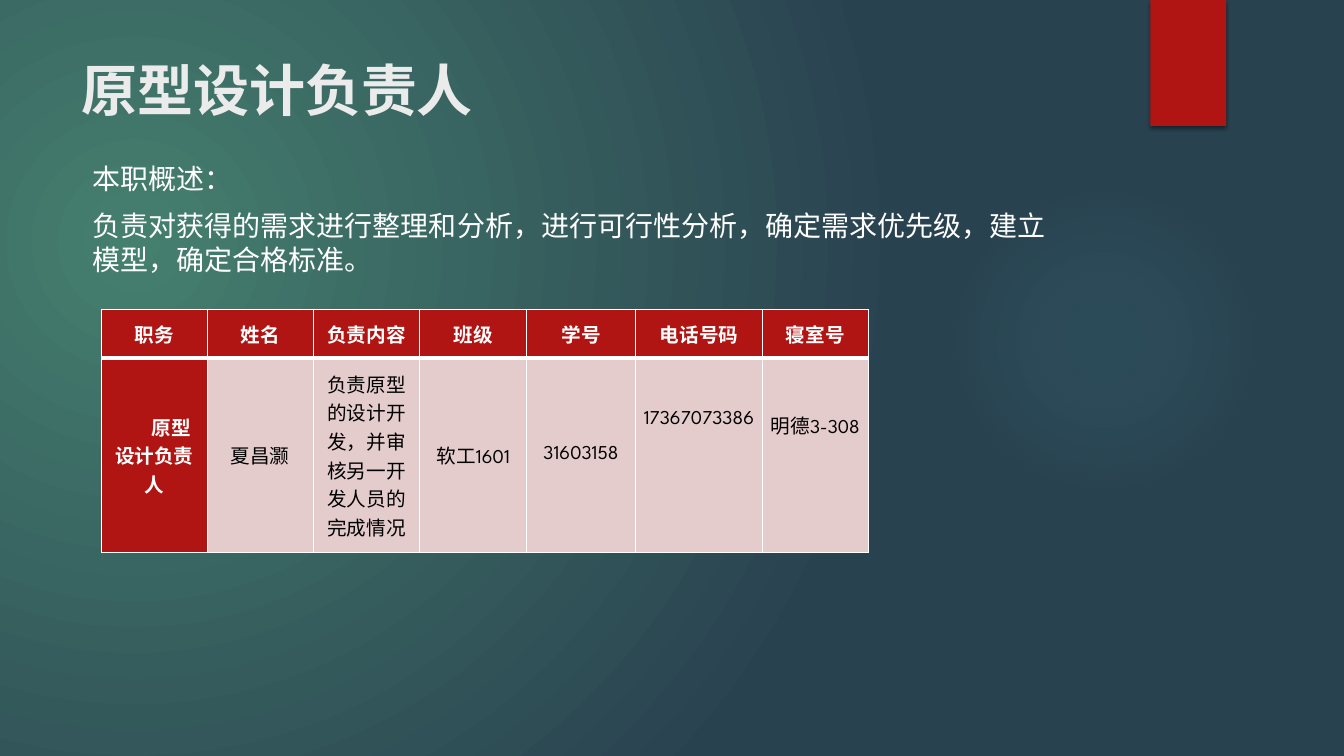
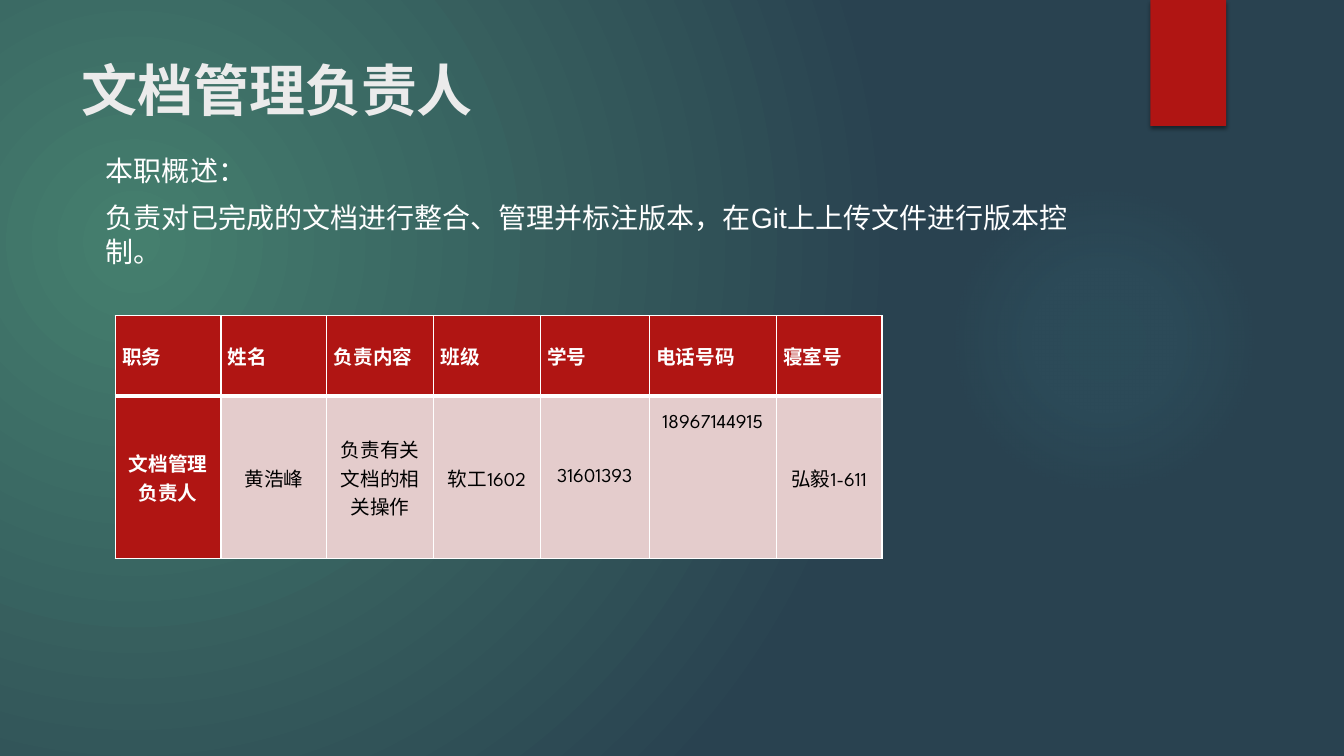
from lxml.etree import SubElement
from pptx import Presentation
from pptx.dml.color import RGBColor
from pptx.enum.shapes import MSO_SHAPE
from pptx.enum.text import MSO_ANCHOR, PP_ALIGN
from pptx.oxml import parse_xml
from pptx.oxml.ns import nsdecls, qn
from pptx.util import Pt

GREEN = RGBColor(0x45, 0x7F, 0x6E)
NAVY = RGBColor(0x29, 0x42, 0x50)
TEAL = RGBColor(0x50, 0xB9, 0xC1)
RED = RGBColor(0xB0, 0x15, 0x13)
PINK = RGBColor(0xE4, 0xCC, 0xCC)
OFF_WHITE = RGBColor(0xEB, 0xEB, 0xEB)
WHITE = RGBColor(0xFF, 0xFF, 0xFF)
BLACK = RGBColor(0, 0, 0)

COLUMN_WIDTHS = [75.6, 75.6, 76.3, 76.3, 77.8, 90.7, 75.6]
HEADINGS = ["职务", "姓名", "负责内容", "班级", "学号", "电话号码", "寝室号"]


def apply_format(target, values):
    for name, value in values.items():
        setattr(target, name, value)


def radial_fill(parent, stops, focus):
    """Replace a solid fill by a circular gradient; stops are (position, colour, alpha)."""
    stop_xml = "".join(
        f'<a:gs pos="{position * 1000}"><a:srgbClr val="{color}">'
        f'<a:alpha val="{alpha * 1000}"/></a:srgbClr></a:gs>'
        for position, color, alpha in stops)
    left, top, right, bottom = (value * 1000 for value in focus)
    gradient = parse_xml(
        f'<a:gradFill {nsdecls("a")} rotWithShape="1"><a:gsLst>{stop_xml}</a:gsLst>'
        f'<a:path path="circle"><a:fillToRect l="{left}" t="{top}" r="{right}" b="{bottom}"/>'
        f'</a:path></a:gradFill>')
    parent.replace(parent.find(qn("a:solidFill")), gradient)


class Deck:
    title_font = {"name": "Arial", "size": Pt(40), "bold": True}
    body_font = {"name": "Arial", "size": Pt(20), "bold": False}
    cell_font = {"name": "League Spartan", "size": Pt(14)}
    cell_margins = {"margin_left": Pt(5), "margin_right": Pt(5),
                    "margin_top": 0, "margin_bottom": 0}

    def __init__(self):
        self.presentation = Presentation()
        apply_format(self.presentation, {"slide_width": Pt(960), "slide_height": Pt(540)})
        self.slide = None

    def add_slide(self):
        self.slide = self.presentation.slides.add_slide(self.presentation.slide_layouts[6])
        # Background
        self.slide.background.fill.solid()
        radial_fill(self.slide.element.find(".//" + qn("p:bgPr")),
                    [(0, GREEN, 100), (100, NAVY, 100)], (45, 65, 125, 100))
        # Glow
        glow = self.add_shape(MSO_SHAPE.OVAL, 677.5, 131.8, 221.8, 221.8, TEAL)
        radial_fill(glow.element.spPr, [(0, TEAL, 7), (36, TEAL, 6), (69, TEAL, 0)],
                    (50, 50, 50, 50))
        # Ribbon with a soft shadow
        ribbon = self.add_shape(MSO_SHAPE.RECTANGLE, 821.8, 0, 54, 90, RED)
        ribbon.element.spPr.find(qn("a:effectLst")).append(parse_xml(
            f'<a:outerShdw {nsdecls("a")} blurRad="{Pt(3)}" dist="{Pt(2)}" dir="5400000" '
            f'rotWithShape="0"><a:srgbClr val="{BLACK}"><a:alpha val="45000"/></a:srgbClr>'
            f'</a:outerShdw>'))

    def add_shape(self, kind, left, top, width, height, color):
        shape = self.slide.shapes.add_shape(kind, Pt(left), Pt(top), Pt(width), Pt(height))
        shape.shadow.inherit = False
        shape.fill.solid()
        shape.fill.fore_color.rgb = color
        shape.line.fill.background()
        return shape

    def add_text(self, paragraphs, left, top, width, height, font, color):
        box = self.slide.shapes.add_textbox(Pt(left), Pt(top), Pt(width), Pt(height))
        frame = box.text_frame
        frame.word_wrap = True
        frame.text = "\n".join(paragraphs)
        for paragraph in frame.paragraphs:
            apply_format(paragraph, {"line_spacing": Pt(font["size"].pt * 1.2),
                                     "space_after": Pt(10)})
            run = paragraph.runs[0]
            apply_format(run.font, font)
            run.font.color.rgb = color
            SubElement(run.font._element, qn("a:ea"), typeface=font["name"])

    def add_title(self, text):
        self.add_text([text], 51, 36, 741, 110, self.title_font, OFF_WHITE)

    def add_body(self, paragraphs, left, top):
        self.add_text(paragraphs, left, top, 704, 173.5, self.body_font, WHITE)

    def add_table(self, values, left, top, row_heights, heading_align, top_margins, indents):
        """top_margins: column to offset of top-anchored text; indents: column to indent."""
        frame = self.slide.shapes.add_table(
            2, len(HEADINGS), Pt(left), Pt(top), Pt(sum(COLUMN_WIDTHS)), Pt(sum(row_heights)))
        table = frame.table
        apply_format(table, {"first_row": False, "horz_banding": False})
        for column, width in zip(table.columns, COLUMN_WIDTHS):
            column.width = Pt(width)
        for row, height in zip(table.rows, row_heights):
            row.height = Pt(height)
        for index, (heading, value) in enumerate(zip(HEADINGS, values)):
            self.fill_cell(table.cell(0, index), heading, True, heading_align)
            self.set_borders(table.cell(0, index), top=1, bottom=3)
            cell = table.cell(1, index)
            self.fill_cell(cell, value, index == 0, PP_ALIGN.CENTER)
            self.set_borders(cell, top=3, bottom=1)
            if index in top_margins:
                apply_format(cell, {"vertical_anchor": MSO_ANCHOR.TOP,
                                    "margin_top": Pt(top_margins[index])})
            if index in indents:
                properties = cell.text_frame.paragraphs[0]._p.get_or_add_pPr()
                properties.set("indent", str(Pt(indents[index])))

    def fill_cell(self, cell, text, emphasised, alignment):
        apply_format(cell, {"text": text, "vertical_anchor": MSO_ANCHOR.MIDDLE,
                            **self.cell_margins})
        cell.fill.solid()
        cell.fill.fore_color.rgb = RED if emphasised else PINK
        paragraph = cell.text_frame.paragraphs[0]
        paragraph.alignment = alignment
        font = paragraph.runs[0].font
        apply_format(font, {**self.cell_font, "bold": emphasised})
        font.color.rgb = WHITE if emphasised else BLACK

    def set_borders(self, cell, top, bottom):
        properties = cell._tc.get_or_add_tcPr()
        widths = {"L": 1, "R": 1, "T": top, "B": bottom}
        for position, (side, width) in enumerate(widths.items()):
            properties.insert(position, parse_xml(
                f'<a:ln{side} {nsdecls("a")} w="{Pt(width)}"><a:solidFill>'
                f'<a:srgbClr val="{WHITE}"/></a:solidFill></a:ln{side}>'))


def main():
    deck = Deck()

    # Prototype design lead
    deck.add_slide()
    deck.add_title("原型设计负责人")
    deck.add_body(["本职概述：",
                   "负责对获得的需求进行整理和分析，进行可行性分析，确定需求优先级，建立模型，确定合格标准。"],
                  59, 111.6)
    deck.add_table(["原型设计负责人", "夏昌灏", "负责原型的设计开发，并审核另一开发人员的完成情况",
                    "软工1601", "31603158", "17367073386", "明德3-308"],
                   72.5, 221, [34.6, 139.2], PP_ALIGN.CENTER,
                   top_margins={5: 38, 6: 38}, indents={0: 24})

    # Document management lead
    deck.add_slide()
    deck.add_title("文档管理负责人")
    deck.add_body(["本职概述：",
                   "负责对已完成的文档进行整合、管理并标注版本，在Git上上传文件进行版本控制。"],
                  68.6, 105.8)
    deck.add_table(["文档管理负责人", "黄浩峰", "负责有关文档的相关操作",
                    "软工1602", "31601393", "18967144915", "弘毅1-611"],
                   82.3, 225.5, [57.6, 115.9], PP_ALIGN.JUSTIFY,
                   top_margins={5: 13}, indents={})

    deck.presentation.save("out.pptx")


if __name__ == "__main__":
    main()
